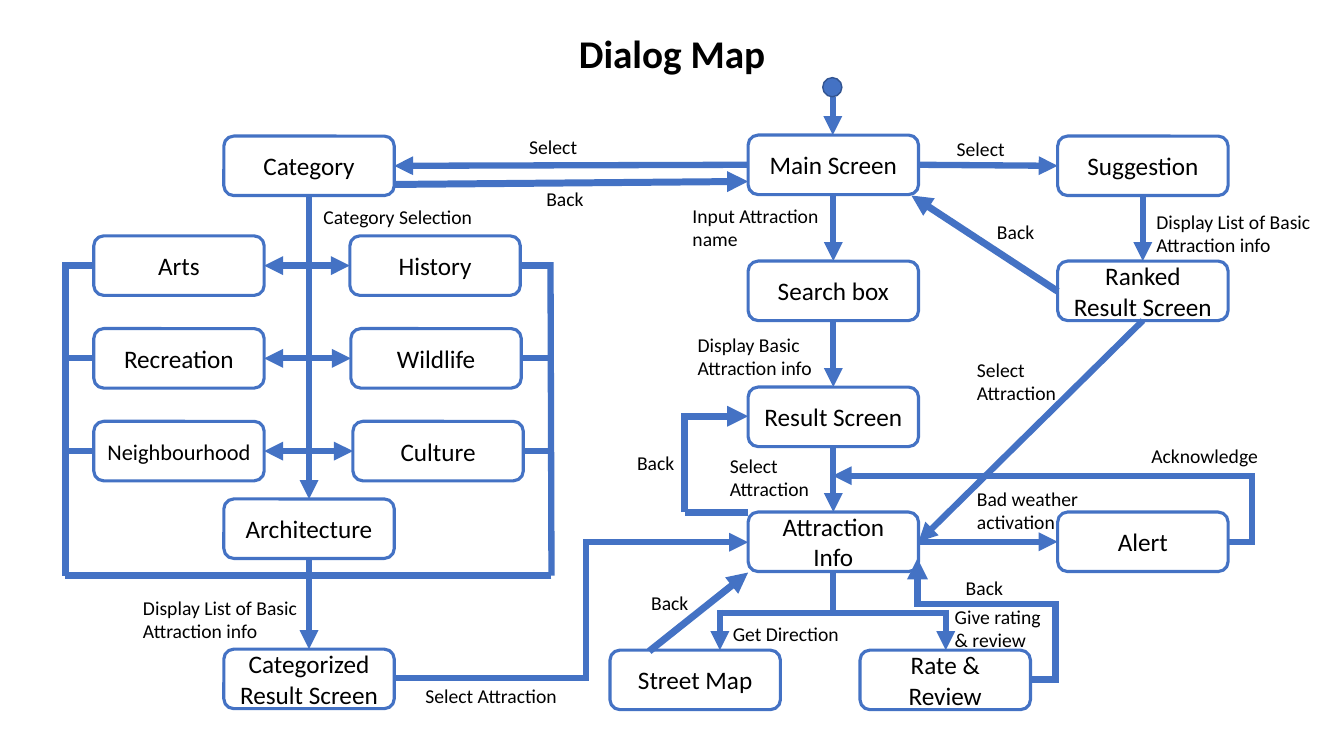
from dataclasses import dataclass
from typing import NamedTuple

from lxml import etree
from pptx import Presentation
from pptx.dml import color
from pptx.enum import shapes, text
from pptx.oxml import ns
from pptx.util import Inches, Pt


@dataclass(frozen=True)
class Theme:
    """Colours, type sizes and line widths of the slide."""
    font: str = "Calibri"
    blue: str = "4472C4"
    dark_blue: str = "325491"
    black: str = "000000"
    title_size: float = 28
    box_size: float = 18
    small_box_size: float = 16
    label_size: float = 14
    box_line: float = 2.25
    flow_line: float = 4.5
    back_line: float = 5


class Box(NamedTuple):
    """A screen of the dialog."""
    name: str
    left: float
    top: float
    size: float = 18


class Label(NamedTuple):
    """A caption beside an arrow."""
    wording: str
    left: float
    top: float
    width: float
    lines: int = 1


class Link(NamedTuple):
    """A straight arrow glued to two screens."""
    start: str
    start_side: int
    end: str
    end_side: int
    both_ways: bool = False


class Route(NamedTuple):
    """A free line or elbow, with its two ends in inches."""
    begin: tuple[float, float]
    end: tuple[float, float]
    arrow: bool = True
    width: float = 4.5
    preset: str = "line"
    bends: tuple[float, ...] = ()
    rotation: int = 0


THEME = Theme()
BOX_WIDTH, BOX_HEIGHT = 1.69, 0.59
TOP, LEFT, BOTTOM, RIGHT = range(4)
CATEGORY_ROWS = (2.34, 3.26, 4.18)
CATEGORY_PAIRS = (("Arts", "History"), ("Recreation", "Wildlife"), ("Neighbourhood", "Culture"))
RAIL_LEFT, RAIL_RIGHT, RAIL_BOTTOM = 0.65, 5.46, 5.71
CATEGORIZED, RANKED = "Categorized\nResult Screen", "Ranked\nResult Screen"

BOXES = [
    Box("Category", 2.22, 1.35), Box("Architecture", 2.22, 4.95), Box(CATEGORIZED, 2.22, 6.44),
    Box("Main Screen", 7.42, 1.34), Box("Search box", 7.42, 2.59),
    Box("Result Screen", 7.42, 3.84), Box("Attraction Info", 7.42, 5.08),
    Box("Suggestion", 10.49, 1.35), Box(RANKED, 10.49, 2.59), Box("Alert", 10.49, 5.08),
    Box("Street Map", 6.05, 6.45), Box("Rate & Review", 8.53, 6.45),
    Box("Arts", 0.93, 2.34), Box("Recreation", 0.93, 3.26),
    Box("Neighbourhood", 0.93, 4.18, THEME.small_box_size),
    Box("History", 3.47, 2.34), Box("Wildlife", 3.48, 3.26), Box("Culture", 3.5, 4.18),
]

LINKS = [
    Link("Category", BOTTOM, "Architecture", TOP),
    Link("Architecture", BOTTOM, CATEGORIZED, TOP),
    Link("Main Screen", LEFT, "Category", RIGHT),
    Link("Main Screen", BOTTOM, "Search box", TOP),
    Link("Search box", BOTTOM, "Result Screen", TOP),
    Link("Result Screen", BOTTOM, "Attraction Info", TOP),
    Link("Main Screen", RIGHT, "Suggestion", LEFT),
    Link("Suggestion", BOTTOM, RANKED, TOP),
    Link(RANKED, BOTTOM, "Attraction Info", RIGHT),
    Link("Attraction Info", RIGHT, "Alert", LEFT),
] + [Link(left, RIGHT, right, LEFT, True) for left, right in CATEGORY_PAIRS]

ROUTES = [
    Route((8.26, 0.96), (8.26, 1.34)),
    Route((RAIL_LEFT, 2.6), (RAIL_LEFT, RAIL_BOTTOM), False),
    Route((RAIL_RIGHT, 2.6), (5.47, RAIL_BOTTOM), False),
    Route((5.47, RAIL_BOTTOM), (0.64, RAIL_BOTTOM), False),
    Route((8.26, 5.68), (8.26, 6.05), False),
    Route((9.38, 6.08), (7.14, 6.08), False),
    Route((7.14, 6.05), (7.14, 6.45)),
    Route((9.38, 6.05), (9.38, 6.45)),
    Route((6.44, 6.46), (7.42, 5.68), width=THEME.back_line),
    Route((10.49, 2.89), (9.04, 1.94), width=THEME.back_line),
    Route((3.9, 1.83), (7.42, 1.8), width=THEME.back_line),
    Route((7.42, 5.08), (6.79, 5.08), False, THEME.back_line),
    Route((3.9, 6.73), (7.42, 5.38), preset="bentConnector3", bends=(0.544,)),
    Route((12.17, 5.38), (8.26, 4.72), preset="bentConnector3", bends=(-0.064,)),
    Route((10.22, 6.74), (9.1, 5.54), width=THEME.back_line,
          preset="bentConnector4", bends=(-0.224, 0.623)),
    Route((7.58, 4.92), (6.63, 4.29), width=THEME.back_line,
          preset="bentConnector2", rotation=90),
]
for row, right_edge in zip(CATEGORY_ROWS, (5.15, 5.18, 5.19)):
    middle = row + BOX_HEIGHT / 2
    ROUTES += [Route((0.93, middle), (RAIL_LEFT, middle), False),
               Route((RAIL_RIGHT, middle), (right_edge, middle), False)]

LABELS = [
    Label("Input Attraction name", 6.77, 1.97, 1.53, 2),
    Label("Display Basic Attraction info", 6.82, 3.25, 1.51, 2),
    Label("Select Attraction", 7.14, 4.45, 1.02, 2),
    Label("Get Direction", 7.17, 6.12, 1.27),
    Label("Give rating & review", 9.37, 5.95, 1.18, 2),
    Label("Bad weather activation", 9.59, 4.78, 1.25, 2),
    Label("Acknowledge", 11.32, 4.35, 1.31),
    Label("Select", 5.15, 1.29, 0.78), Label("Select", 9.39, 1.31, 0.78),
    Label("Category Selection", 3.11, 1.98, 1.71),
    Label("Display List of Basic Attraction info", 1.32, 5.86, 1.96, 2),
    Label("Display List of Basic Attraction info", 11.37, 2.03, 1.96, 2),
    Label("Select Attraction", 4.12, 6.74, 1.54),
    Label("Select Attraction", 9.59, 3.5, 1.12, 2),
] + [Label("Back", left, top, 0.87) for left, top in
     ((9.48, 5.66), (6.36, 5.81), (9.79, 2.13), (5.32, 1.81), (6.22, 4.42))]


def rgb(value: str) -> color.RGBColor:
    """Turn a hex value into a colour."""
    return color.RGBColor.from_string(value)


def write(shape, wording: str, *, size: float, bold: bool = False,
          align=text.PP_ALIGN.LEFT, anchor=text.MSO_ANCHOR.TOP) -> None:
    """Fill a shape with formatted text, one paragraph to a line."""
    frame = shape.text_frame
    frame.word_wrap = True
    frame.auto_size = text.MSO_AUTO_SIZE.NONE
    frame.vertical_anchor = anchor
    frame.text = wording
    for paragraph in frame.paragraphs:
        paragraph.alignment = align
        paragraph.line_spacing = 1.0
        font = paragraph.runs[0].font
        font.name, font.size, font.bold = THEME.font, Pt(size), bold
        font.color.rgb = rgb(THEME.black)


def add_box(slide, box: Box):
    """Draw a screen as an outlined rounded box."""
    shape = slide.shapes.add_shape(
        shapes.MSO_SHAPE.ROUNDED_RECTANGLE, Inches(box.left), Inches(box.top),
        Inches(BOX_WIDTH), Inches(BOX_HEIGHT))
    shape.shadow.inherit = False
    shape.fill.background()
    shape.line.color.rgb, shape.line.width = rgb(THEME.blue), Pt(THEME.box_line)
    write(shape, box.name, size=box.size, align=text.PP_ALIGN.CENTER,
          anchor=text.MSO_ANCHOR.MIDDLE)
    return shape


def add_line(slide, route: Route, both_ways: bool = False):
    """Draw a line, with its arrowheads and bends."""
    kind = shapes.MSO_CONNECTOR.STRAIGHT if route.preset == "line" else shapes.MSO_CONNECTOR.ELBOW
    connector = slide.shapes.add_connector(
        kind, *(Inches(value) for value in route.begin + route.end))
    connector.line.color.rgb, connector.line.width = rgb(THEME.blue), Pt(route.width)
    properties = connector._element.spPr
    outline = properties.find(ns.qn("a:ln"))
    etree.SubElement(outline, ns.qn("a:miter"), lim="800000")
    for tag, shown in (("a:headEnd", both_ways), ("a:tailEnd", route.arrow)):
        if shown:
            etree.SubElement(outline, ns.qn(tag), type="triangle")
    etree.SubElement(properties, ns.qn("a:effectLst"))
    if route.preset != "line":
        geometry = properties.find(ns.qn("a:prstGeom"))
        geometry.set("prst", route.preset)
        for child in list(geometry):
            geometry.remove(child)
        guides = etree.SubElement(geometry, ns.qn("a:avLst"))
        for number, bend in enumerate(route.bends, 1):
            etree.SubElement(guides, ns.qn("a:gd"), name=f"adj{number}",
                             fmla=f"val {round(bend * 100000)}")
    if route.rotation:
        properties.find(ns.qn("a:xfrm")).set("rot", str(route.rotation * 60000))
    return connector


def main() -> None:
    """Build the dialog map and save it."""
    presentation = Presentation()
    presentation.slide_width, presentation.slide_height = Inches(13.33), Inches(7.5)
    slide = presentation.slides.add_slide(presentation.slide_layouts.get_by_name("Title Only"))
    title = slide.shapes.title
    title.left, title.top, title.width, title.height = map(Inches, (4.89, 0.24, 3.55, 0.59))
    write(title, "Dialog Map", size=THEME.title_size, bold=True, align=text.PP_ALIGN.CENTER)

    screens = {box.name: add_box(slide, box) for box in BOXES}
    for link in LINKS:
        connector = add_line(slide, Route((0, 0), (1, 1)), link.both_ways)
        connector.begin_connect(screens[link.start], link.start_side)
        connector.end_connect(screens[link.end], link.end_side)
    for route in ROUTES:
        add_line(slide, route)

    start = slide.shapes.add_shape(shapes.MSO_SHAPE.FLOWCHART_CONNECTOR, Inches(8.16),
                                   Inches(0.77), Inches(0.19), Inches(0.19))
    start.shadow.inherit = False
    start.fill.solid()
    start.fill.fore_color.rgb = rgb(THEME.blue)
    start.line.color.rgb, start.line.width = rgb(THEME.dark_blue), Pt(1)

    for label in LABELS:
        height = 0.34 if label.lines == 1 else 0.57
        caption = slide.shapes.add_textbox(*map(Inches, (label.left, label.top, label.width, height)))
        write(caption, label.wording, size=THEME.label_size)
    presentation.save("out.pptx")


main()
